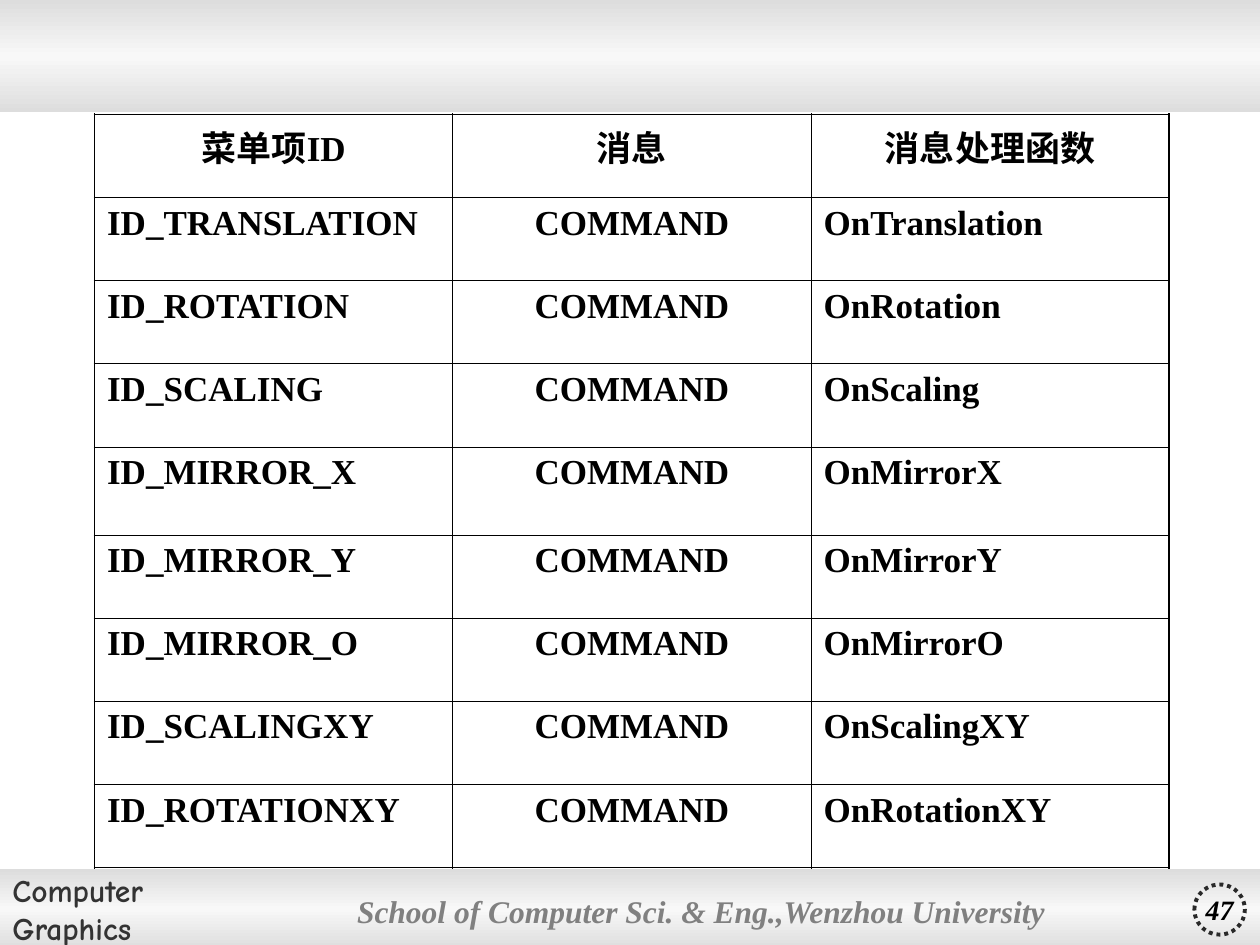
import copy
import pptx
import pptx.util
import pptx.dml.color
import pptx.enum.dml
import pptx.enum.shapes
import pptx.enum.text
import pptx.oxml
import pptx.oxml.ns

Pt = pptx.util.Pt
Inches = pptx.util.Inches
SHAPE = pptx.enum.shapes.MSO_SHAPE
ALIGN = pptx.enum.text.PP_ALIGN
COLORS = {"edge": "DDDDDD", "middle": "F8F8F8", "course": "333333",
          "school": "808080", "ring": "292929", "ink": "000000"}
SERIF = "Times New Roman"

prs = pptx.Presentation()
prs.slide_width, prs.slide_height = Inches(10), Inches(7.5)
W, H = prs.slide_width, prs.slide_height
s = prs.slides.add_slide(prs.slide_layouts[6])


def add_text(p, text, size, color, font=SERIF, italic=False, align=ALIGN.LEFT):
    p.alignment = align
    r = p.add_run()
    r.text = text
    r.font.size = Pt(size)
    r.font.name = font
    r.font.bold = True
    r.font.italic = italic
    r.font.color.rgb = pptx.dml.color.RGBColor.from_string(COLORS[color])


def add_plain(kind, left, top, width, height):
    sp = s.shapes.add_shape(kind, int(W * left), int(H * top), int(W * width), int(H * height))
    sp.shadow.inherit = False
    sp.fill.background()
    sp.line.fill.background()
    sp.text_frame.vertical_anchor = pptx.enum.text.MSO_ANCHOR.MIDDLE
    return sp


footer = add_plain(SHAPE.RECTANGLE, 0, 0.92, 1, 0.084)
header = add_plain(SHAPE.RECTANGLE, 0, 0, 1, 0.119)
for sp in (footer, header):
    sp.fill.gradient()
    sp.fill.gradient_angle = 270
    first = sp.fill.gradient_stops[0]._gs
    first.addnext(copy.deepcopy(first))
    for stop, position, color in zip(sp.fill.gradient_stops, (0, 0.5, 1), ("edge", "middle", "edge")):
        stop.position = position
        stop.color.rgb = pptx.dml.color.RGBColor.from_string(COLORS[color])

tf = footer.text_frame
tf.word_wrap = True
for p, word in zip((tf.paragraphs[0], tf.add_paragraph()), ("Computer", "Graphics")):
    add_text(p, word, 18, "course", font="Comic Neue")

school = add_plain(SHAPE.ROUNDED_RECTANGLE, 0.278, 0.92, 0.599, 0.088)
school.adjustments[0] = 0.02
tf = school.text_frame
tf.word_wrap = True
tf.margin_left = tf.margin_right = Inches(0.05)
tf.margin_top = tf.margin_bottom = Inches(0.02)
add_text(tf.paragraphs[0], "School of Computer Sci. & Eng.,Wenzhou University", 18, "school", italic=True)

number = add_plain(SHAPE.OVAL, 0.948, 0.936, 0.04, 0.053)
number.line.color.rgb = pptx.dml.color.RGBColor.from_string(COLORS["ring"])
number.line.width = Pt(2.25)
number.line.dash_style = pptx.enum.dml.MSO_LINE.ROUND_DOT
number.text_frame.word_wrap = False
add_text(number.text_frame.paragraphs[0], "47", 16, "ink", italic=True, align=ALIGN.CENTER)

handlers = [("ID_TRANSLATION", "OnTranslation"), ("ID_ROTATION", "OnRotation"),
            ("ID_SCALING", "OnScaling"), ("ID_MIRROR_X", "OnMirrorX"),
            ("ID_MIRROR_Y", "OnMirrorY"), ("ID_MIRROR_O", "OnMirrorO"),
            ("ID_SCALINGXY", "OnScalingXY"), ("ID_ROTATIONXY", "OnRotationXY")]
rows = [("菜单项ID", "消息", "消息处理函数")]
rows += [(item, "COMMAND", handler) for item, handler in handlers]
last_row, last_col = len(rows) - 1, 2

table = s.shapes.add_table(len(rows), 3, int(W * 0.075), int(H * 0.121),
                           int(W * 0.853), int(H * 0.799)).table
table.first_row = table.horz_banding = False
for column in table.columns:
    column.width = int(W * 0.853 / 3)
for i, row in enumerate(table.rows):
    row.height = Inches(0.7 if i == 4 else 0.66)
    for j, cell in enumerate(row.cells):
        outer = {"L": j == 0, "R": j == last_col, "T": i == 0, "B": i == last_row}
        tcPr = cell._tc.get_or_add_tcPr()
        for side, is_outer in outer.items():
            width = Pt(1.08 if is_outer else 0.45)
            tcPr.append(pptx.oxml.parse_xml(
                f'<a:ln{side} {pptx.oxml.ns.nsdecls("a")} w="{width}"><a:solidFill>'
                f'<a:srgbClr val="{COLORS["ink"]}"/></a:solidFill></a:ln{side}>'))
        cell.fill.background()
        p = cell.text_frame.paragraphs[0]
        centred = i == 0 or j == 1
        add_text(p, rows[i][j], 20, "ink", align=ALIGN.CENTER if centred else ALIGN.LEFT)

prs.save("out.pptx")
